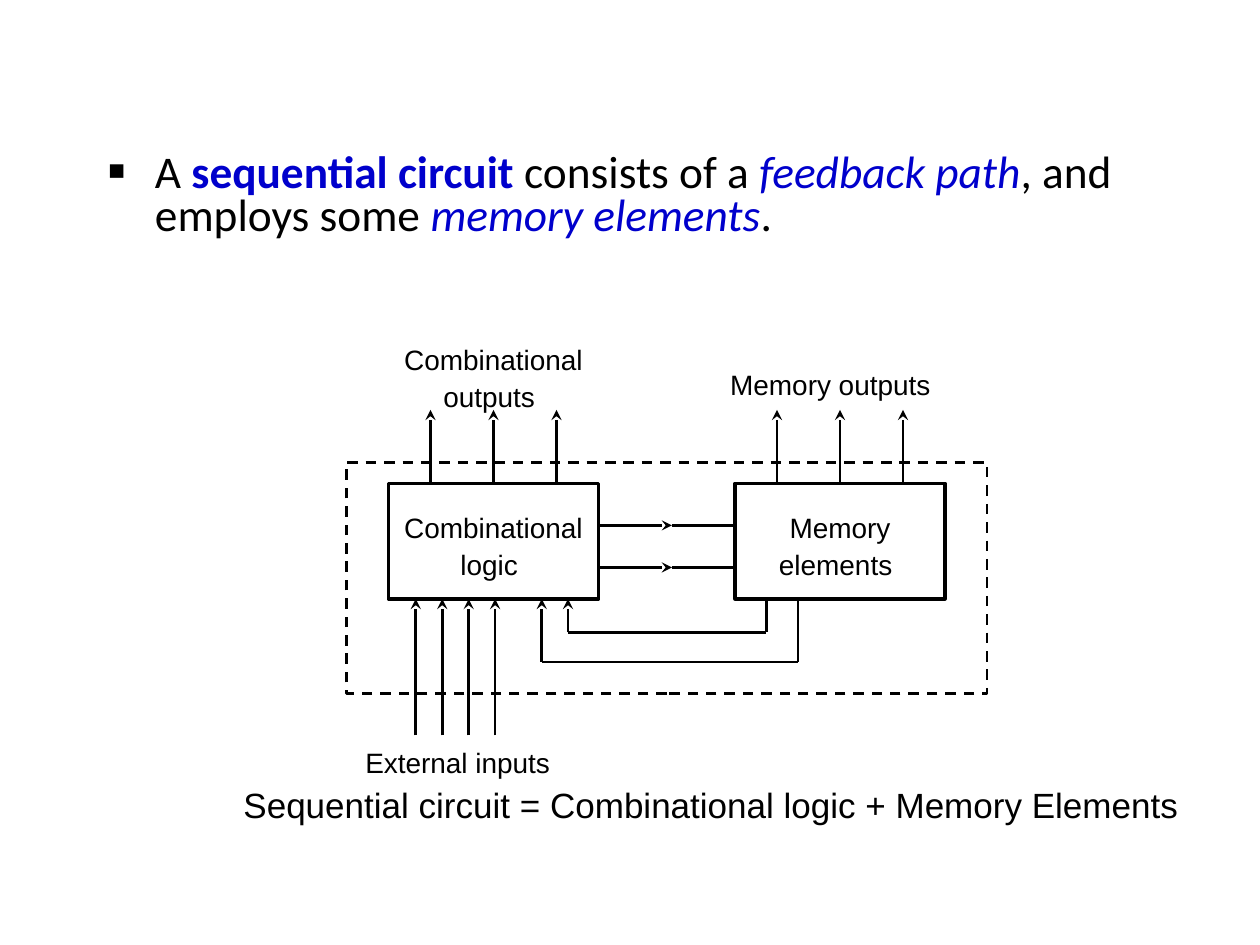
from dataclasses import dataclass

from lxml import etree
from pptx import Presentation, util as u
from pptx.dml.color import RGBColor
from pptx.enum import dml, shapes, text
from pptx.oxml.ns import qn


@dataclass(frozen=True)
class Theme:
    ink: RGBColor = RGBColor(0, 0, 0)
    accent: RGBColor = RGBColor(0, 0, 0xCC)
    body_font: str = "Calibri"
    label_font: str = "Arial"
    body: float = 25.9
    label: float = 16
    label_end: float = 18
    summary: float = 20
    wire: float = 1.5
    block: float = 2


@dataclass(frozen=True)
class Grid:
    """Cells of equal size, counted from a left and top corner in inches."""
    left: float
    top: float
    cell: float = 1 / 12

    def point(self, col, row):
        return u.Inches(self.left + col * self.cell), u.Inches(self.top + row * self.cell)

    def box(self, col, row, cols, rows):
        return *self.point(col, row), u.Inches(cols * self.cell), u.Inches(rows * self.cell)


THEME = Theme()


def add_run(p, words, size, font=THEME.label_font, color=THEME.ink, bold=False, italic=False):
    r = p.add_run()
    r.text = words
    r.font.size, r.font.name = u.Pt(size), font
    r.font.bold, r.font.italic = bold, italic
    r.font.color.rgb = color


def add_label(parent, box, words):
    tf = parent.add_textbox(*box).text_frame
    tf.word_wrap = True
    p = tf.paragraphs[0]
    p.alignment = text.PP_ALIGN.CENTER
    add_run(p, words, THEME.label)
    add_run(p, " ", THEME.label_end)


def add_outline(parent, box, width, dash=None):
    sp = parent.add_shape(shapes.MSO_SHAPE.RECTANGLE, *box)
    sp.shadow.inherit = False
    sp.fill.background()
    sp.line.color.rgb = THEME.ink
    sp.line.width = u.Pt(width)
    sp.line.dash_style = dash


def add_wire(parent, start, end, arrow=False):
    line = parent.add_connector(shapes.MSO_CONNECTOR.STRAIGHT, *start, *end)
    line.line.color.rgb = THEME.ink
    line.line.width = u.Pt(THEME.wire)
    if arrow:
        etree.SubElement(line.line._get_or_add_ln(), qn("a:tailEnd"), type="stealth")
    etree.SubElement(line._element.spPr, qn("a:effectLst"))


def fill_statement(body, box):
    body.left, body.top, body.width, body.height = box
    tf = body.text_frame
    tf.auto_size = text.MSO_AUTO_SIZE.NONE
    p = tf.paragraphs[0]
    p.line_spacing = 0.8
    pPr = p._p.get_or_add_pPr()
    indent = u.Inches(0.38)
    pPr.set("marL", str(indent))
    pPr.set("indent", str(-indent))
    etree.SubElement(pPr, qn("a:buSzPct"), val="120000")
    etree.SubElement(pPr, qn("a:buFont"), typeface=THEME.label_font)
    etree.SubElement(pPr, qn("a:buChar"), char="▪")

    term = dict(color=THEME.accent, italic=True)
    for words, style in (
        ("A ", {}),
        ("sequential circuit", dict(color=THEME.accent, bold=True)),
        (" consists of a ", {}),
        ("feedback path", term),
        (", and employs some ", {}),
        ("memory elements", term),
        (".", {}),
    ):
        add_run(p, words, THEME.body, font=THEME.body_font, **style)


def add_block(parent, grid, col, name):
    """A named box with three output arrows above it."""
    top, cols, rows = 14, 20, 11
    add_outline(parent, grid.box(col, top, cols, rows), THEME.block)
    add_label(parent, grid.box(col, top + 2, cols, 8), name)
    for offset in (4, 10, 16):
        add_wire(parent, grid.point(col + offset, top), grid.point(col + offset, top - 7), True)


def add_circuit(slide, grid):
    parent = slide.shapes.add_group_shape().shapes
    logic, memory, bottom = 4, 37, 25
    add_block(parent, grid, logic, "Combinational logic")
    add_block(parent, grid, memory, "Memory elements")

    middle = 31
    for row in (18, 22):
        add_wire(parent, grid.point(logic + 20, row), grid.point(middle, row), True)
        add_wire(parent, grid.point(middle, row), grid.point(memory, row))

    for i in range(4):
        col = 6.6 + 2.52 * i
        add_wire(parent, grid.point(col, 38), grid.point(col, bottom), True)

    for target, source, row in ((21.1, 40, 28.2), (18.6, 43, 31)):
        add_wire(parent, grid.point(source, bottom), grid.point(source, row))
        add_wire(parent, grid.point(target, row), grid.point(source, row))
        add_wire(parent, grid.point(target, row), grid.point(target, bottom), True)

    add_label(parent, grid.box(logic, 0, 20, 8), "Combinational outputs")
    add_label(parent, grid.box(35, 2, 23, 4.8), "Memory outputs")
    add_label(parent, grid.box(0, 38, 22, 4.8), "External inputs")
    add_outline(parent, grid.box(0, 12, 61, 22), THEME.wire, dml.MSO_LINE.DASH)


def add_summary(slide, box):
    tf = slide.shapes.add_textbox(*box).text_frame
    tf.word_wrap = True
    add_run(tf.paragraphs[0], "Sequential circuit = Combinational logic + Memory Elements",
            THEME.summary)


def main():
    prs = Presentation()
    prs.slide_width, prs.slide_height = u.Inches(10), u.Inches(7.5)
    slide = prs.slides.add_slide(prs.slide_layouts[1])
    title = slide.shapes.title._element
    title.getparent().remove(title)

    page = Grid(0, 0)
    fill_statement(slide.placeholders[1], page.box(9, 14, 102, 10))
    add_circuit(slide, Grid(2.75, 2.67))
    add_summary(slide, page.box(22, 74, 92, 5))
    prs.save("out.pptx")


if __name__ == "__main__":
    main()
